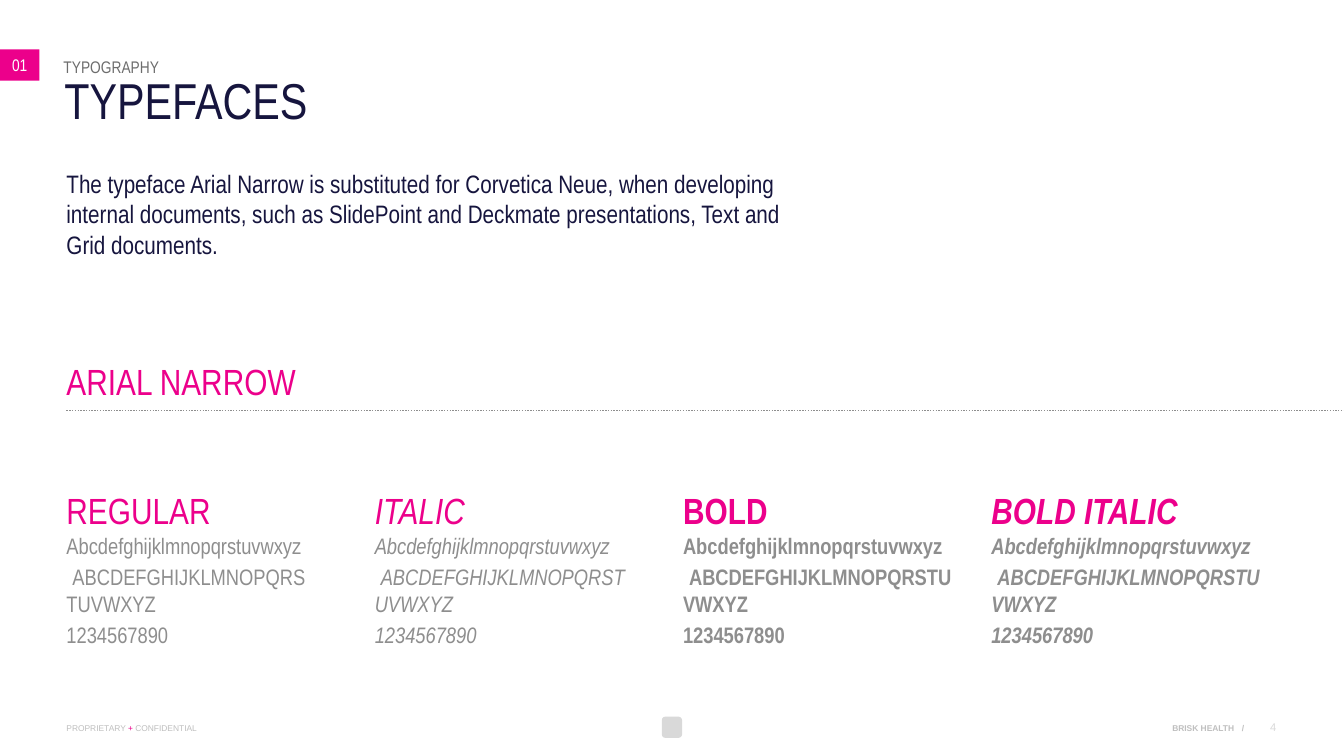
from pptx import Presentation
from pptx.dml.color import RGBColor
from pptx.enum.dml import MSO_LINE
from pptx.enum.shapes import MSO_CONNECTOR, MSO_SHAPE
from pptx.enum.text import MSO_ANCHOR, PP_ALIGN
from pptx.oxml.ns import qn
from pptx.util import Inches, Pt
from lxml.etree import SubElement

WIDE, HIGH = 13.34, 7.5
PINK, NAVY, GREY, PALE = "EC008B", "16153E", "8E8E8E", "BFBFBF"
LEFT = 0.66
PITCH = 3.06
STYLES = [
    ("REGULAR", 2.46, False, False),
    ("ITALIC", 2.55, False, True),
    ("BOLD", 2.7, True, False),
    ("BOLD ITALIC", 2.67, True, True),
]
GLYPHS = ["Abcdefghijklmnopqrstuvwxyz", "ABCDEFGHIJKLMNOPQRSTUVWXYZ", "1234567890"]
INTRO = (
    "The typeface Arial Narrow is substituted for Corvetica Neue, when developing "
    "internal documents, such as SlidePoint and Deckmate presentations, Text and "
    "Grid documents."
)


def color(code):
    """Turn a hex string into a colour."""
    return RGBColor.from_string(code)


def paint(shape, code):
    """Give a shape a flat fill without line or shadow."""
    shape.shadow.inherit = False
    shape.fill.solid()
    shape.fill.fore_color.rgb = color(code)
    shape.line.fill.background()


def style(run, size, code, face="Arial Narrow", bold=False, italic=False):
    """Format one run."""
    font = run.font
    font.name, font.size = face, Pt(size)
    font.bold, font.italic = bold, italic
    font.color.rgb = color(code)


def write(shape, lines, size, code, align=PP_ALIGN.LEFT, anchor=MSO_ANCHOR.TOP, **look):
    """Fill a shape with paragraphs that share one look."""
    frame = shape.text_frame
    frame.word_wrap = True
    frame.vertical_anchor = anchor
    frame.margin_left = frame.margin_right = 0
    frame.margin_top = frame.margin_bottom = 0
    frame.text = "\n".join(lines)
    for para in frame.paragraphs:
        para.alignment = align
        para.space_after = Pt(3)
        for run in para.runs:
            style(run, size, code, **look)
    return frame


def label(slide, box, lines, size, code, **look):
    """Add a text box at the given box."""
    shape = slide.shapes.add_textbox(*map(Inches, box))
    return write(shape, lines, size, code, **look)


def header(slide, box):
    """Place the section tag, section name and title."""
    left, top, width, height = box
    tag = slide.shapes.add_shape(
        MSO_SHAPE.RECTANGLE, *map(Inches, (left, top, 0.39, 0.31)))
    paint(tag, PINK)
    write(tag, ["01"], 12, "FFFFFF", align=PP_ALIGN.CENTER, anchor=MSO_ANCHOR.MIDDLE)
    label(slide, (left + 0.63, top + 0.07, 8.69, 0.2), ["TYPOGRAPHY"], 12, "6D6D6D")
    title = slide.shapes.title
    title.left, title.top = Inches(left + 0.64), Inches(top + 0.31)
    title.width, title.height = Inches(width - 1.34), Inches(height - 0.31)
    frame = write(title, ["TYPEFACES"], 36, NAVY)
    frame.paragraphs[0].line_spacing = 0.8


def family(slide, box):
    """Place the family name above its dotted rule."""
    left, top, width, height = box
    label(slide, (left, top, 3.68, 0.44), ["ARIAL NARROW"], 26, PINK)
    ends = (left, top + height, left + width, top + height)
    rule = slide.shapes.add_connector(MSO_CONNECTOR.STRAIGHT, *map(Inches, ends))
    rule.line.color.rgb = color(GREY)
    rule.line.width = Pt(1)
    rule.line.dash_style = MSO_LINE.ROUND_DOT
    SubElement(rule._element.spPr, qn("a:effectLst"))


def sample(slide, box, name, bold, italic):
    """Show one style with its name and glyphs."""
    left, top, width, height = box
    look = {"bold": bold, "italic": italic}
    label(slide, (left, top, 2.75, 0.44), [name], 26, PINK, **look)
    frame = label(slide, (left, top + 0.44, width, height - 0.44), GLYPHS, 16, GREY, **look)
    caps = frame.paragraphs[1]._p.get_or_add_pPr()
    caps.set("marL", "0")
    caps.set("indent", str(Inches(0.06)))


def footer(slide, box):
    """Place the notice, mark, owner and page number."""
    left, top, width, height = box
    right = left + width
    small = {"face": "Arial"}
    frame = label(slide, (left, top, 1.6, height), ["PROPRIETARY "], 6, PALE, **small)
    for text, code in (("+", PINK), (" CONFIDENTIAL", PALE)):
        run = frame.paragraphs[0].add_run()
        run.text = text
        style(run, 6, code, **small)
    mark = slide.shapes.add_shape(
        MSO_SHAPE.ROUNDED_RECTANGLE, *map(Inches, (6.57, top - 0.06, 0.2, 0.21)))
    paint(mark, "D9D9D9")
    for text, edge, size, code, bold in (
        ("BRISK HEALTH", 0.42, 6, PALE, True),
        ("/", 0.32, 6, PALE, True),
        ("4", 0, 8, "D9D9D9", False),
    ):
        place = (right - edge - 1, top - (size - 6) / 100, 1, height)
        label(slide, place, [text], size, code, align=PP_ALIGN.RIGHT, bold=bold, **small)


def main():
    """Build the typefaces slide."""
    deck = Presentation()
    deck.slide_width, deck.slide_height = Inches(WIDE), Inches(HIGH)
    slide = deck.slides.add_slide(deck.slide_layouts[5])
    header(slide, (0, 0.49, WIDE, 0.81))
    label(slide, (LEFT, 1.67, 7.27, 0.91), [INTRO], 18, NAVY)
    family(slide, (LEFT, 3.56, WIDE - LEFT, 0.51))
    for spot, (name, width, bold, italic) in enumerate(STYLES):
        box = (LEFT + spot * PITCH, 4.84, width, 2.07)
        sample(slide, box, name, bold, italic)
    footer(slide, (LEFT, 7.17, 12.01, 0.1))
    deck.save("out.pptx")


if __name__ == "__main__":
    main()
